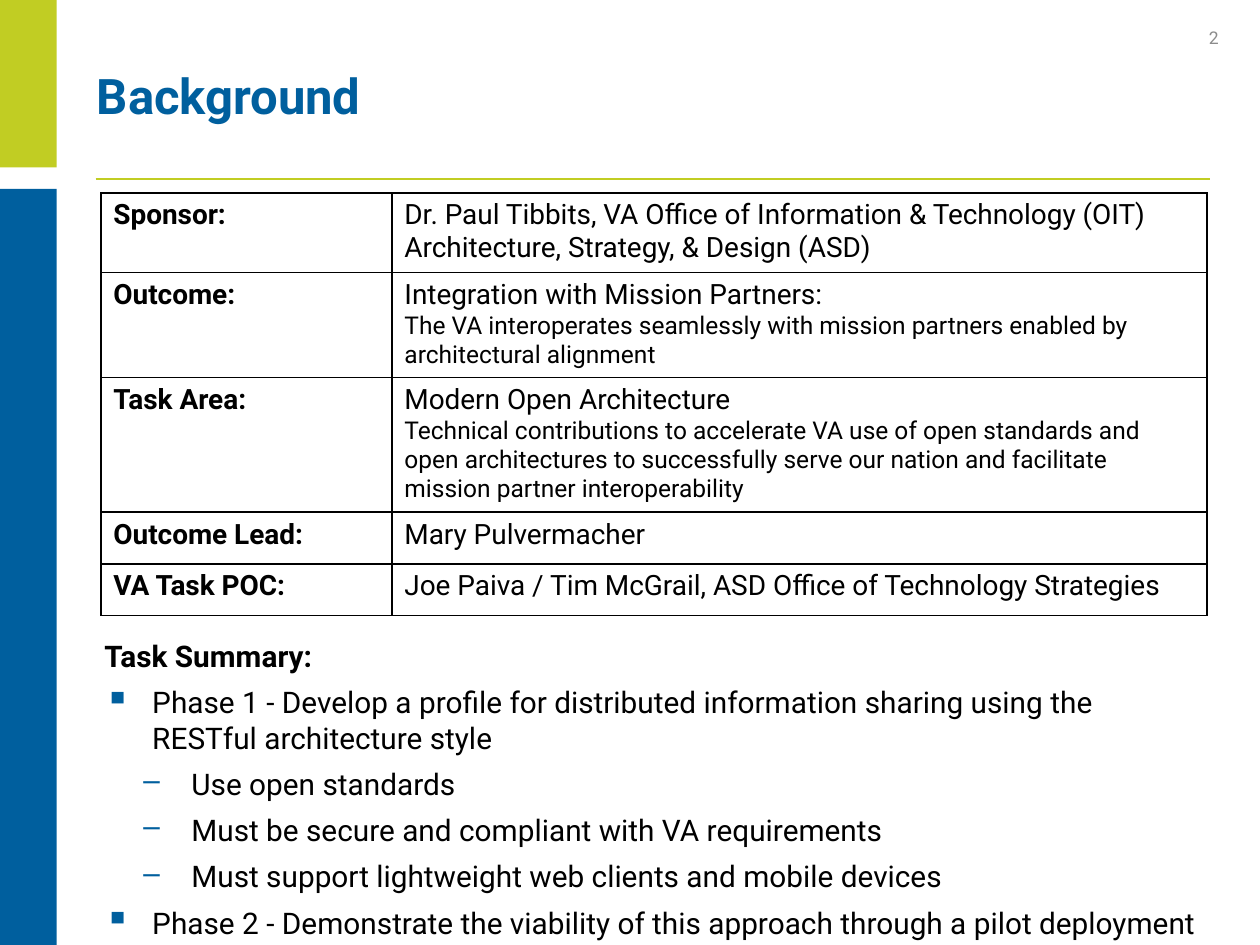
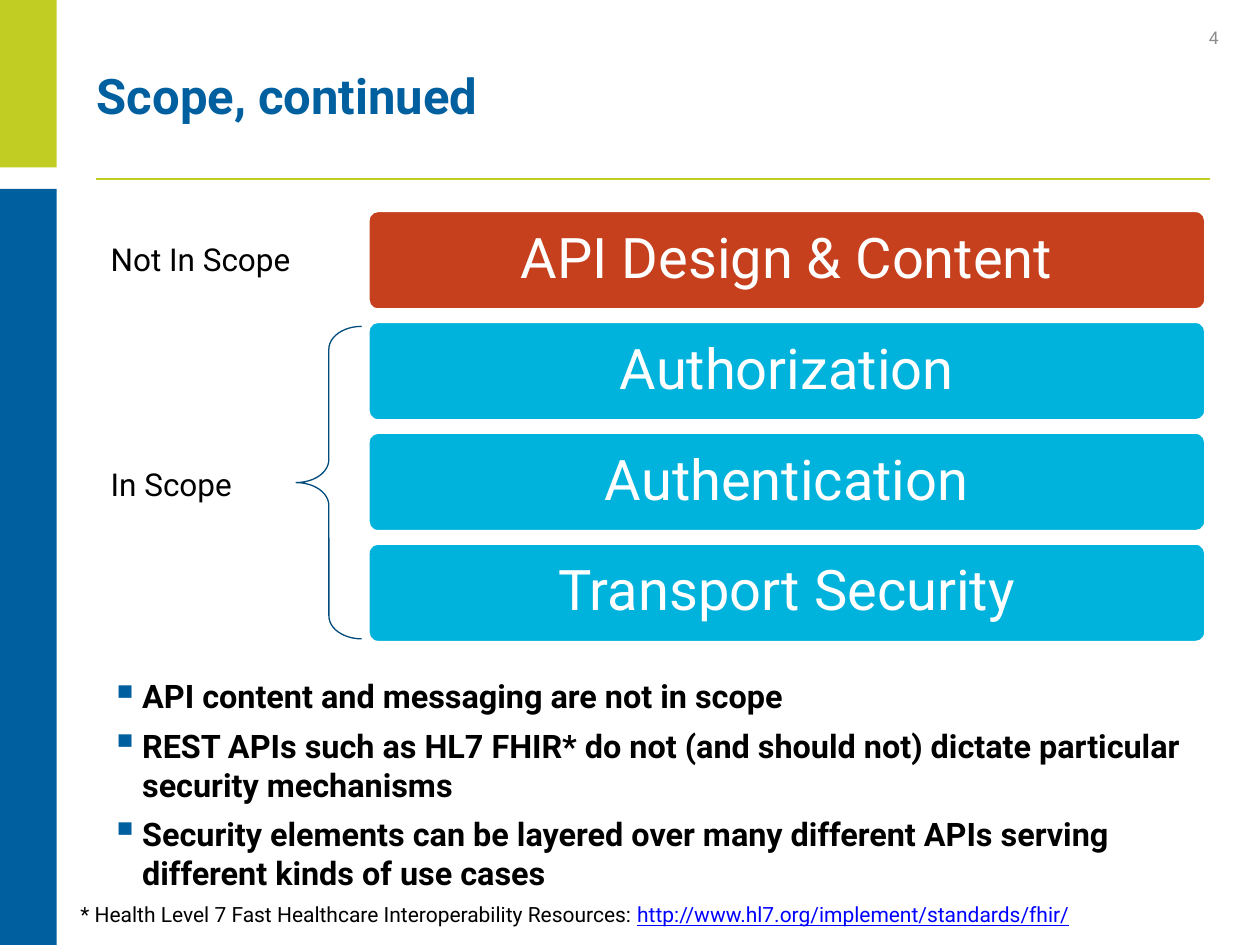
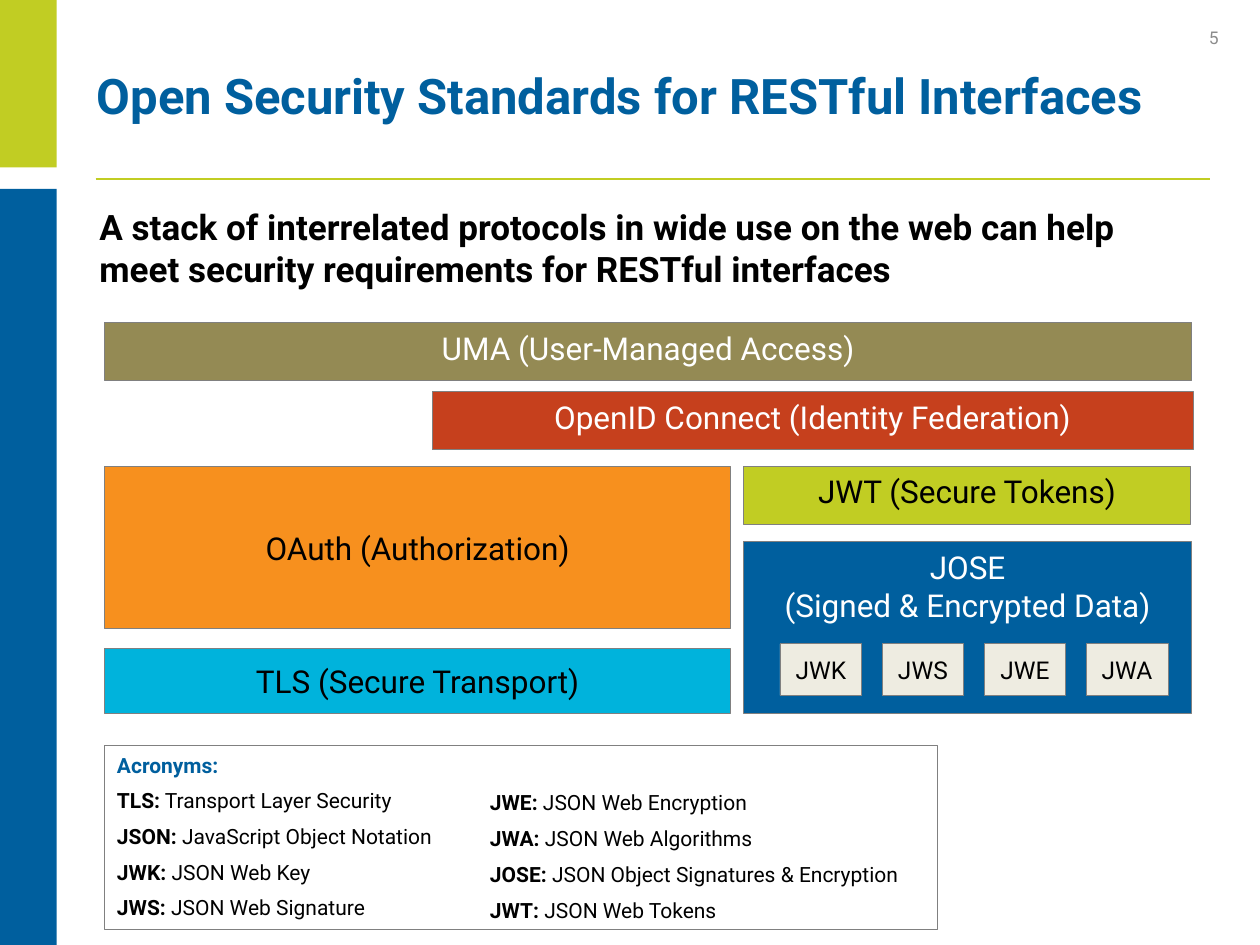
from lxml import etree
from pptx import Presentation
from pptx.dml.color import RGBColor
from pptx.enum.shapes import MSO_CONNECTOR, MSO_SHAPE as SHAPE
from pptx.enum.text import MSO_ANCHOR as ANCHOR, PP_ALIGN as ALIGN
from pptx.oxml import parse_xml
from pptx.oxml.ns import nsdecls, qn
from pptx.util import Inches, Pt

rgb = RGBColor.from_string

FONT = "Roboto"
BLUE, LIME, CYAN, RED, ORANGE = "005F9E", "C1CD23", "00B3DC", "C6401D", "F7901E"
OLIVE, CREAM, NAVY = "948A54", "EEECE1", "004A7C"
BLACK, WHITE, GREY, PAGE_GREY, LINK = "000000", "FFFFFF", "808080", "8C8C8C", "0000FF"


def write(tf, paras, **style):
    """Fill a text frame; each paragraph is a text or a dict that overrides the style.

    The text of a paragraph may be a list of (text, font overrides) runs.
    """
    for i, para in enumerate(paras):
        f = style | (para if isinstance(para, dict) else {"text": para})
        p = tf.paragraphs[0] if i == 0 else tf.add_paragraph()
        formats = {"alignment": f.get("align", ALIGN.LEFT), "level": f.get("level", 0),
                   "line_spacing": f.get("spacing"), "space_after": Pt(f.get("after", 0))}
        for name, value in formats.items():
            setattr(p, name, value)
        if "bullet" in f:
            char, left, hang, percent = f["bullet"]
            pPr = p._p.get_or_add_pPr()
            pPr.set("marL", str(Inches(left)))
            pPr.set("indent", str(-Inches(hang)))
            for xml in (f'<a:buClr {nsdecls("a")}><a:srgbClr val="{BLUE}"/></a:buClr>',
                        f'<a:buSzPct {nsdecls("a")} val="{percent * 1000}"/>',
                        f'<a:buChar {nsdecls("a")} char="{char}"/>'):
                pPr.append(parse_xml(xml))
        runs = f["text"] if isinstance(f["text"], list) else [(f["text"], {})]
        for text, changes in runs:
            look = f | changes
            r = p.add_run()
            r.text = text
            fonts = {"name": FONT, "size": Pt(look["size"]), "bold": look.get("bold", False),
                     "underline": look.get("underline", False)}
            for name, value in fonts.items():
                setattr(r.font, name, value)
            r.font.color.rgb = rgb(look.get("color", BLACK))


def add_box(s, at, paras=(), kind=None, fill=None, line=None, anchor=ANCHOR.TOP,
            wrap=True, **style):
    """Add a preset shape, or a text box when no kind is given."""
    place = [Inches(v) for v in at]
    if kind is None:
        sp = s.shapes.add_textbox(*place)
    else:
        sp = s.shapes.add_shape(kind, *place)
        sp.shadow.inherit = False
        if fill:
            sp.fill.solid()
            sp.fill.fore_color.rgb = rgb(fill)
        else:
            sp.fill.background()
        if line:
            sp.line.color.rgb = rgb(line[0])
            sp.line.width = Pt(line[1])
        else:
            sp.line.fill.background()
    sp.text_frame.word_wrap = wrap
    sp.text_frame.vertical_anchor = anchor
    write(sp.text_frame, paras, **style)
    return sp


prs = Presentation()
prs.slide_width, prs.slide_height = Inches(10), Inches(7.5)

# Frame of every slide: side bands, rule, page number and title
slides = []
for number, title in [("2", "Background"), ("4", "Scope, continued"),
                      ("5", "Open Security Standards for RESTful Interfaces")]:
    s = prs.slides.add_slide(prs.slide_layouts[6])
    add_box(s, (0, 0, 0.45, 1.33), kind=SHAPE.RECTANGLE, fill=LIME)
    add_box(s, (0, 1.5, 0.45, 6), kind=SHAPE.RECTANGLE, fill=BLUE)
    rule = s.shapes.add_connector(MSO_CONNECTOR.STRAIGHT, Inches(0.76), Inches(1.42),
                                  Inches(9.6), Inches(1.42))
    rule.line.color.rgb = rgb(LIME)
    rule.line.width = Pt(1)
    etree.SubElement(rule._element.spPr, qn("a:effectLst"))
    add_box(s, (9.23, 0.23, 0.54, 0.2), [number], anchor=ANCHOR.BOTTOM,
            size=10, color=PAGE_GREY, align=ALIGN.RIGHT)
    add_box(s, (0.67, 0.25, 9, 1.03), [title], anchor=ANCHOR.MIDDLE,
            size=28, color=BLUE, bold=True, spacing=Pt(32))
    slides.append(s)
background, scope, standards = slides

# Background: fact table and task summary
facts = [
    (0.62, "Sponsor:", "Dr. Paul Tibbits, VA Office of Information & Technology (OIT) "
     "Architecture, Strategy, & Design (ASD)", None),
    (0.82, "Outcome:", "Integration with Mission Partners:",
     "The VA interoperates seamlessly with mission partners enabled by architectural alignment"),
    (1.05, "Task Area:", "Modern Open Architecture",
     "Technical contributions to accelerate VA use of open standards and open architectures "
     "to successfully serve our nation and facilitate mission partner interoperability"),
    (0.41, "Outcome Lead:", "Mary Pulvermacher", None),
    (0.41, "VA Task POC:", "Joe Paiva / Tim McGrail, ASD Office of Technology Strategies", None),
]
table = background.shapes.add_table(len(facts), 2, Inches(0.8), Inches(1.53),
                                    Inches(8.78), Inches(3.31)).table
table.first_row = table.horz_banding = False
for column, width in zip(table.columns, (2.31, 6.47)):
    column.width = Inches(width)
for row, (height, label, fact, detail) in zip(table.rows, facts):
    row.height = Inches(height)
    write(row.cells[0].text_frame, [label], size=16, bold=True)
    details = [{"text": detail, "size": 14}] if detail else []
    write(row.cells[1].text_frame, [fact] + details, size=16)
    for cell in row.cells:
        cell.fill.background()
        for i, side in enumerate("LRTB"):
            cell._tc.get_or_add_tcPr().insert(i, parse_xml(
                f'<a:ln{side} {nsdecls("a")} w="{Pt(1)}"><a:solidFill>'
                f'<a:srgbClr val="{BLACK}"/></a:solidFill></a:ln{side}>'))

phase = {"bullet": ("▪", 0.38, 0.38, 120)}
goal = {"bullet": ("–", 0.69, 0.38, 100), "level": 1}
add_box(background, (0.73, 5.01, 8.88, 2.15), [
    {"text": "Task Summary:", "bold": True},
    phase | {"text": "Phase 1 - Develop a profile for distributed information sharing "
                     "using the RESTful architecture style"},
    goal | {"text": "Use open standards"},
    goal | {"text": "Must be secure and compliant with VA requirements"},
    goal | {"text": "Must support lightweight web clients and mobile devices"},
    phase | {"text": "Phase 2 - Demonstrate the viability of this approach "
                     "through a pilot deployment"},
], size=17, after=6)

# Scope: layer stack with a brace over the layers in scope
layers = [("API Design & Content", RED), ("Authorization", CYAN),
          ("Authentication", CYAN), ("Transport Security", CYAN)]
for i, (layer, color) in enumerate(layers):
    sp = add_box(scope, (2.92, 1.67 + 0.88 * i, 6.65, 0.79), [layer],
                 kind=SHAPE.ROUNDED_RECTANGLE, fill=color, line=(WHITE, 2),
                 anchor=ANCHOR.MIDDLE, size=32, color=WHITE, align=ALIGN.CENTER, spacing=0.9)
    sp.adjustments[0] = 0.1
brace = add_box(scope, (2.35, 2.59, 0.52, 2.48), kind=SHAPE.LEFT_BRACE, line=(NAVY, 0.75))
brace.adjustments[0] = 0.35
for label, top, width in [("In Scope", 3.64, 1.2), ("Not In Scope", 1.86, 1.66)]:
    add_box(scope, (0.78, top, width, 0.4), [label], wrap=False, size=18, after=6)
add_box(scope, (0.78, 5.32, 8.88, 1.63), [
    "API content and messaging are not in scope",
    "REST APIs such as HL7 FHIR* do not (and should not) dictate particular security mechanisms",
    "Security elements can be layered over many different APIs serving "
    "different kinds of use cases",
], size=18.5, bold=True, after=6, bullet=("▪", 0.25, 0.25, 120))
add_box(scope, (0.54, 7.11, 8.47, 0.3), [{"text": [
    ("* Health Level 7 Fast Healthcare Interoperability Resources: ", {}),
    ("http://www.hl7.org/implement/standards/fhir/", {"color": LINK, "underline": True}),
]}], size=12, after=6)

# Open security standards: protocol stack and acronym key
add_box(standards, (0.69, 1.58, 8.88, 0.8),
        ["A stack of interrelated protocols in wide use on the web can help "
         "meet security requirements for RESTful interfaces"], size=20, bold=True, after=6)
protocols = [
    ((0.83, 2.56, 8.63, 0.46), ["UMA (User-Managed Access)"], OLIVE, WHITE, ANCHOR.TOP, 18),
    ((3.43, 3.11, 6.04, 0.46), ["OpenID Connect (Identity Federation)"], RED, WHITE,
     ANCHOR.TOP, 18),
    ((0.83, 3.7, 4.97, 1.29), ["OAuth (Authorization)"], ORANGE, BLACK, ANCHOR.MIDDLE, 18),
    ((5.9, 3.7, 3.55, 0.46), ["JWT (Secure Tokens)"], LIME, BLACK, ANCHOR.TOP, 18),
    ((0.83, 5.15, 4.97, 0.51), ["TLS (Secure Transport)"], CYAN, BLACK, ANCHOR.MIDDLE, 18),
    ((5.9, 4.3, 3.56, 1.36), ["JOSE", "(Signed & Encrypted Data)"], BLUE, WHITE,
     ANCHOR.TOP, 18),
]
for i, part in enumerate(["JWK", "JWS", "JWE", "JWA"]):
    protocols.append(((6.19 + 0.81 * i, 5.11, 0.65, 0.41), [part], CREAM, BLACK,
                      ANCHOR.MIDDLE, 14))
for at, paras, fill, color, anchor, size in protocols:
    add_box(standards, at, paras, kind=SHAPE.RECTANGLE, fill=fill, line=(GREY, 0.5),
            anchor=anchor, size=size, color=color, align=ALIGN.CENTER)

heading = {"text": "Acronyms:", "color": BLUE, "bold": True}
left_key = [("TLS:", "Transport Layer Security"), ("JSON:", "JavaScript Object Notation"),
            ("JWK:", "JSON Web Key"), ("JWS:", "JSON Web Signature")]
right_key = [("JWE:", "JSON Web Encryption"), ("JWA:", "JSON Web Algorithms"),
             ("JOSE:", "JSON Object Signatures & Encryption"), ("JWT:", "JSON Web Tokens")]
for at, first, key in [((0.83, 5.92, 3.72, 1.45), [heading], left_key),
                       ((3.79, 6.22, 4.79, 1.16), [], right_key)]:
    entries = [{"text": [(short, {"bold": True}), (f" {meaning}", {})]} for short, meaning in key]
    add_box(standards, at, first + entries, size=12, after=6)
add_box(standards, (0.83, 5.92, 6.61, 1.46), kind=SHAPE.RECTANGLE, line=(GREY, 0.5))

prs.save("out.pptx")
